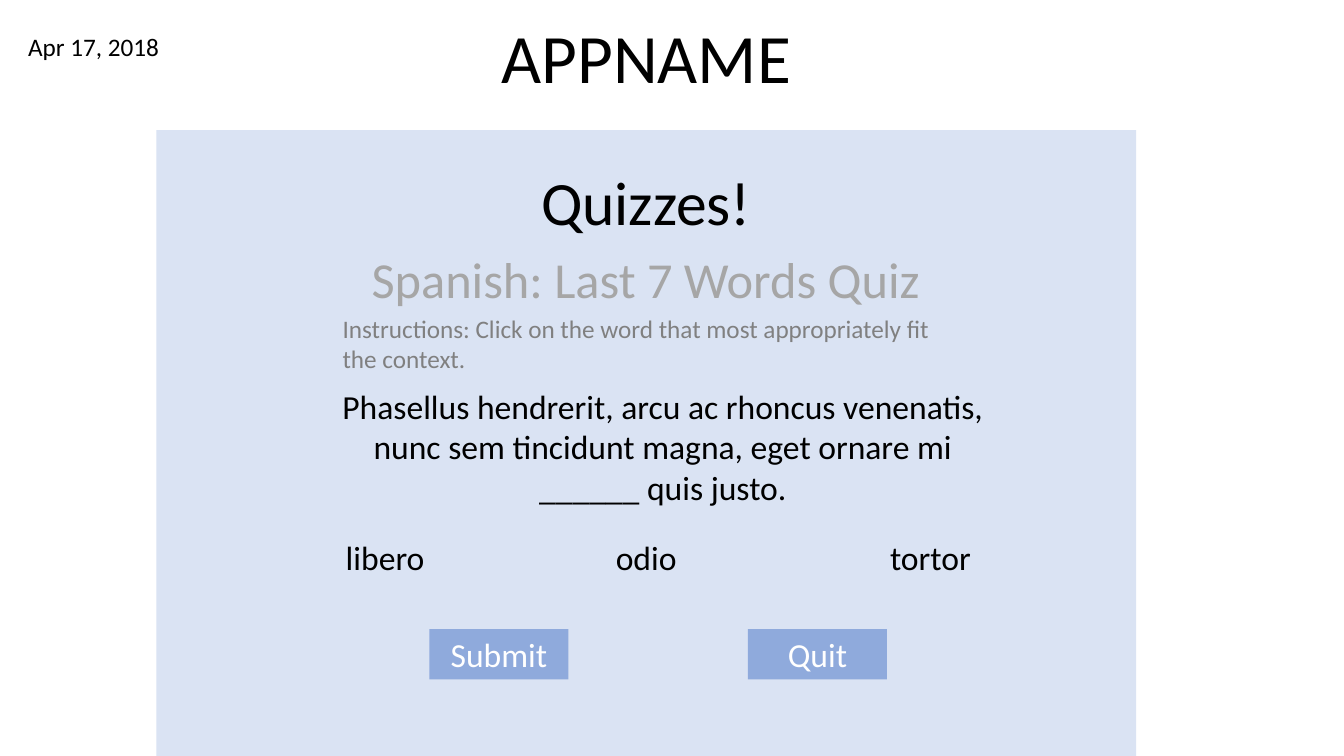
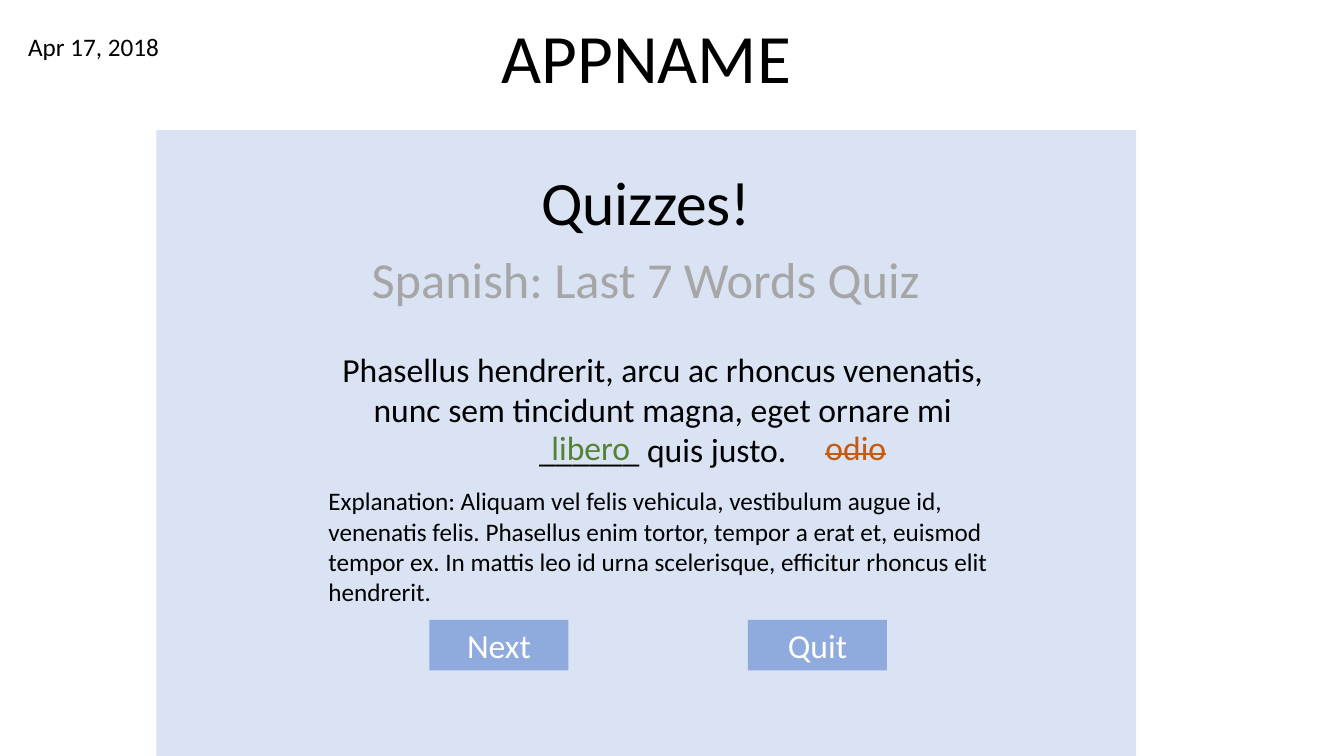
"""Build two quiz screens: a question and its corrected answer."""
from dataclasses import dataclass

from pptx import Presentation
from pptx.dml.color import RGBColor
from pptx.enum.shapes import MSO_SHAPE
from pptx.enum.text import MSO_ANCHOR, MSO_AUTO_SIZE, PP_ALIGN
from pptx.util import Inches, Pt


@dataclass(frozen=True)
class Theme:
    font: str = "Calibri"
    ink: str = "000000"
    subtitle: str = "A6A6A6"
    hint: str = "808080"
    panel: str = "DAE3F3"
    button: str = "8FAADC"
    button_text: str = "FFFFFF"
    right: str = "548235"
    wrong: str = "C55A11"
    title_size: float = 49.5
    heading_size: int = 44
    subtitle_size: int = 36
    body_size: int = 24
    small_size: int = 18


theme = Theme()
presentation = Presentation()
presentation.slide_width = Inches(13.33)
presentation.slide_height = Inches(7.5)
column = presentation.slide_width / 100
row = presentation.slide_height / 100


def grid(left, top, width, height):
    return [round(length) for length in
            (left * column, top * row, width * column, height * row)]


def write(shape, text, size, color=theme.ink, align=PP_ALIGN.CENTER,
          anchor=MSO_ANCHOR.TOP, fit=MSO_AUTO_SIZE.SHAPE_TO_FIT_TEXT):
    frame = shape.text_frame
    frame.word_wrap = True
    frame.auto_size = fit
    frame.vertical_anchor = anchor
    paragraph = frame.paragraphs[0]
    paragraph.alignment = align
    run = paragraph.add_run()
    run.text = text
    run.font.name = theme.font
    run.font.size = Pt(size)
    run.font.color.rgb = RGBColor.from_string(color)
    return run


sentence = ("Phasellus hendrerit, arcu ac rhoncus venenatis, nunc sem tincidunt magna, "
            "eget ornare mi ______ quis justo.")
instructions = "Instructions: Click on the word that most appropriately fit the context."
explanation = ("Explanation: Aliquam vel felis vehicula, vestibulum augue id, venenatis felis. "
               "Phasellus enim tortor, tempor a erat et, euismod tempor ex. In mattis leo id "
               "urna scelerisque, efficitur rhoncus elit hendrerit.")
word_width, line_height = 8.25, 6.67
button_width = 10.35
button_columns = (31.95, 55.65)

screens = [
    dict(sentence_top=50.4, word_top=70.4, button_top=83.2,
         note=(instructions, theme.hint, (24.75, 40.8, 46.58, 9.47)),
         words=[("libero", 24.53, theme.ink), ("odio", 43.95, theme.ink),
                ("tortor", 65.1, theme.ink)],
         buttons=("Submit", "Quit")),
    dict(sentence_top=45.47, word_top=55.87, button_top=82,
         note=(explanation, theme.ink, (23.7, 63.6, 51.83, 17.47)),
         words=[("libero", 39.83, theme.right), ("odio", 59.55, theme.wrong)],
         buttons=("Next", "Quit")),
]

for screen in screens:
    slide = presentation.slides.add_slide(presentation.slide_layouts[5])
    shapes = slide.shapes

    title = shapes.title
    title.left, title.top, title.width, title.height = grid(35.33, 3.47, 25.5, 9.73)
    write(title, "APPNAME", theme.title_size, anchor=MSO_ANCHOR.BOTTOM, fit=MSO_AUTO_SIZE.NONE)
    title.text_frame.paragraphs[0].line_spacing = 0.7

    panel = shapes.add_shape(MSO_SHAPE.RECTANGLE, *grid(11.63, 17.2, 72.9, 82.8))
    blocks = [(panel, theme.panel)]

    date = shapes.add_textbox(*grid(1.35, 3.47, 11.93, 5.33))
    write(date, "Apr 17, 2018", theme.small_size, align=PP_ALIGN.LEFT)
    heading = shapes.add_textbox(*grid(33.45, 21.07, 29.25, 11.2))
    write(heading, "Quizzes!", theme.heading_size)
    subtitle = shapes.add_textbox(*grid(20.55, 32.13, 54.98, 9.47))
    write(subtitle, "Spanish: Last 7 Words Quiz", theme.subtitle_size, theme.subtitle)
    question = shapes.add_textbox(*grid(23.1, screen["sentence_top"], 52.43, 17.47))
    write(question, sentence, theme.body_size)

    note_text, note_color, note_area = screen["note"]
    note = shapes.add_textbox(*grid(*note_area))
    write(note, note_text, theme.small_size, note_color, PP_ALIGN.LEFT)

    for text, left, color in screen["words"]:
        word = shapes.add_textbox(*grid(left, screen["word_top"], word_width, line_height))
        run = write(word, text, theme.body_size, color)
        if color == theme.wrong:
            run._r.get_or_add_rPr().set("strike", "sngStrike")

    for text, left in zip(screen["buttons"], button_columns):
        button = shapes.add_shape(
            MSO_SHAPE.RECTANGLE, *grid(left, screen["button_top"], button_width, line_height))
        write(button, text, theme.body_size, theme.button_text)
        blocks.append((button, theme.button))

    for block, color in blocks:
        block.shadow.inherit = False
        block.fill.solid()
        block.fill.fore_color.rgb = RGBColor.from_string(color)
        block.line.fill.background()

presentation.save("out.pptx")
